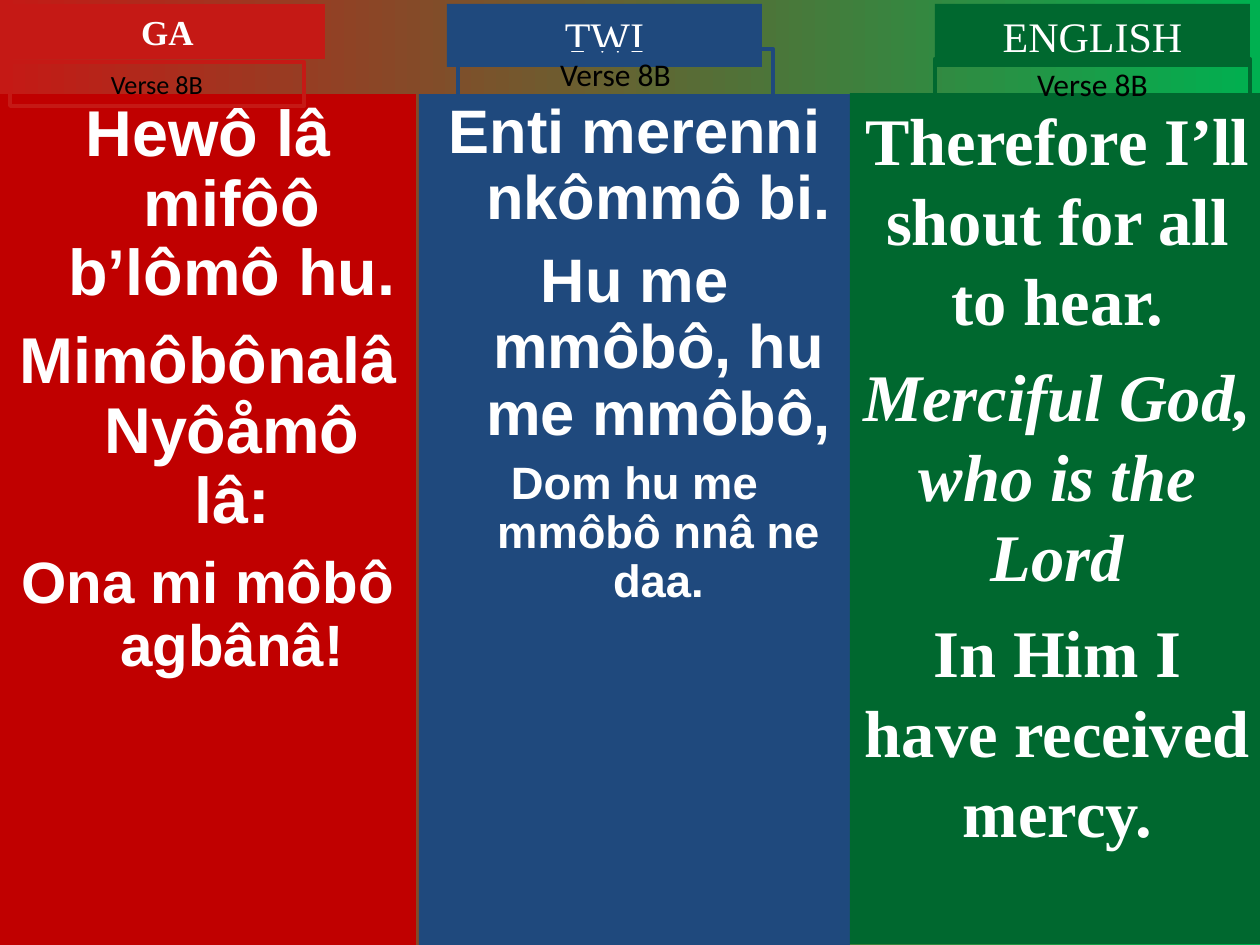
"""Build a hymn verse slide with Ga, Twi and English side by side."""
from pptx import Presentation
from pptx.dml.color import RGBColor
from pptx.enum.shapes import MSO_SHAPE
from pptx.enum.text import MSO_ANCHOR, MSO_AUTO_SIZE, PP_ALIGN
from pptx.util import Emu, Pt

RECT = MSO_SHAPE.RECTANGLE
TOP = MSO_ANCHOR.TOP
GROW = MSO_AUTO_SIZE.SHAPE_TO_FIT_TEXT
CENTER = PP_ALIGN.CENTER

WHITE = RGBColor(0xFF, 0xFF, 0xFF)
BLACK = RGBColor(0x00, 0x00, 0x00)
RED = RGBColor(0xC5, 0x19, 0x15)
DARK_RED = RGBColor(0xC0, 0x00, 0x00)
BLUE = RGBColor(0x1F, 0x49, 0x7D)
GREEN = RGBColor(0x00, 0x68, 0x2F)
LIGHT_GREEN = RGBColor(0x00, 0xB0, 0x50)

SERIF, SANS, LABEL = "Times New Roman", "Arial", "Calibri"
VERSE = "Verse 8B"
HANG = 48

# Boxes are (left, top, width, height) in px; lines are (text, size, space before, italic).
COLUMNS = [
    {
        "fill": DARK_RED, "accent": RED, "font": SANS, "hang": HANG, "spacing": 0.9,
        "body": (0, 94, 416, 851),
        "lines": [
            ("Hewô lâ mifôô b’lômô hu.", 37, 0, False),
            ("Mimôbônalâ Nyôåmô lâ:", 37, 10, False),
            ("Ona mi môbô agbânâ!", 33.3, 9, False),
        ],
        "name": "GA", "name_box": (10, 4, 315, 55), "name_size": 20, "name_bold": True,
        "verse_box": (10, 62, 294, 44), "verse_size": 15,
    },
    {
        "fill": BLUE, "accent": BLUE, "font": SANS, "hang": HANG, "spacing": 0.9,
        "body": (419, 94, 431, 851),
        "lines": [
            ("Enti merenni nkômmô bi.", 35.1, 0, False),
            ("Hu me mmôbô, hu me mmôbô,", 35.1, 9.5, False),
            ("Dom hu me mmôbô nnâ ne daa.", 25.9, 7, False),
        ],
        "name": "TWI", "name_box": (447, 4, 315, 63), "name_size": 24, "name_bold": False,
        "verse_box": (458, 49, 315, 50), "verse_size": 18,
    },
    {
        "fill": GREEN, "accent": GREEN, "font": SERIF, "hang": 0, "spacing": 1.0,
        "body": (850, 93, 415, 851),
        "lines": [
            ("Therefore I’ll shout for all to hear.", 38, 0, False),
            ("Merciful God, who is the Lord", 38, 9.5, True),
            ("In Him I have received mercy.", 38, 9.5, False),
        ],
        "name": "ENGLISH", "name_box": (935, 4, 315, 63), "name_size": 24, "name_bold": False,
        "verse_box": (935, 59, 315, 50), "verse_size": 18,
    },
]


def px(n):
    return Emu(round(n * 914400 / 126))


def add_box(s, box, fill=None, line=None):
    sp = s.shapes.add_shape(RECT, *map(px, box))
    sp.shadow.inherit = False
    if fill is None:
        sp.fill.background()
    else:
        sp.fill.solid()
        sp.fill.fore_color.rgb = fill
    if line is None:
        sp.line.fill.background()
    else:
        sp.line.color.rgb = line
        sp.line.width = Pt(2.25)
    tf = sp.text_frame
    tf.word_wrap = True
    tf.vertical_anchor = TOP
    return tf


def write(p, text, font, size, color, bold=False, italic=False):
    p.text = text
    p.alignment = CENTER
    p.font.name = font
    p.font.size = Pt(size)
    p.font.color.rgb = color
    p.font.bold = bold
    p.font.italic = italic


def add_label(s, box, text, font, size, color, bold=False, fill=None, line=None):
    tf = add_box(s, box, fill, line)
    tf.auto_size = GROW
    write(tf.paragraphs[0], text, font, size, color, bold)


def add_body(s, col):
    tf = add_box(s, col["body"], col["fill"])
    for i, (text, size, before, italic) in enumerate(col["lines"]):
        p = tf.add_paragraph() if i else tf.paragraphs[0]
        write(p, text, col["font"], size, WHITE, True, italic)
        p.line_spacing = col["spacing"]
        p.space_before = Pt(before)
        if col["hang"]:
            pPr = p._p.get_or_add_pPr()
            pPr.set("marL", str(px(col["hang"])))
            pPr.set("indent", str(px(-col["hang"])))


def main():
    prs = Presentation()
    prs.slide_width, prs.slide_height = px(1260), px(945)
    s = prs.slides.add_slide(prs.slide_layouts[6])
    bg = s.background.fill
    bg.gradient()
    bg.gradient_angle = 0
    for stop, color in zip(bg.gradient_stops, (RED, LIGHT_GREEN)):
        stop.color.rgb = color

    for col in COLUMNS:
        add_body(s, col)
        add_label(s, col["name_box"], col["name"], SERIF, col["name_size"], WHITE,
                  bold=col["name_bold"], fill=col["accent"])
        add_label(s, col["verse_box"], VERSE, LABEL, col["verse_size"], BLACK,
                  line=col["accent"])
    prs.save("out.pptx")


if __name__ == "__main__":
    main()
